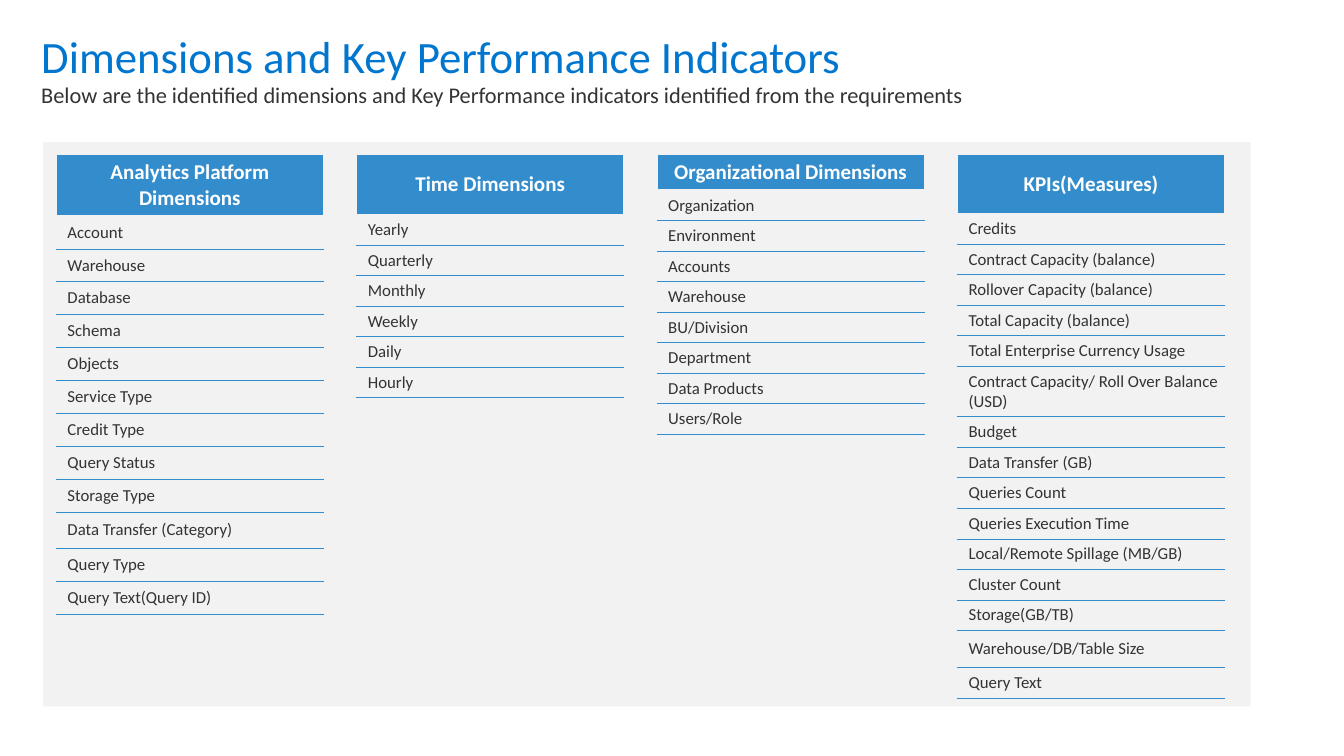
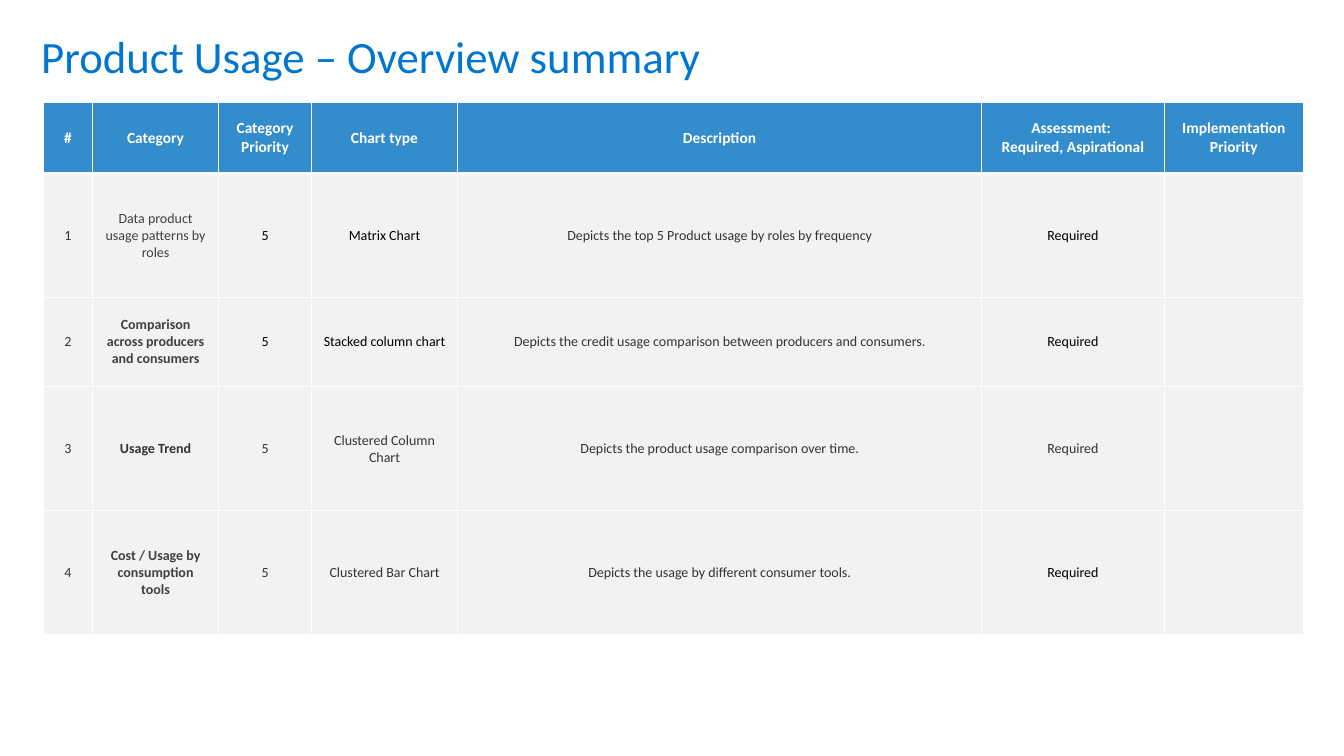
"""Build two slides on usage dimensions, indicators and overview charts."""
import dataclasses

import lxml.etree
import pptx
import pptx.dml.color
import pptx.enum.shapes
import pptx.enum.text
import pptx.oxml.ns
import pptx.util

Cm = pptx.util.Cm
Pt = pptx.util.Pt
ALIGN = pptx.enum.text.PP_ALIGN


@dataclasses.dataclass(frozen=True)
class Theme:
    font: str = "Calibri"
    title: str = "0076CF"
    accent: str = "338DCD"
    panel: str = "F2F2F2"
    white: str = "FFFFFF"
    body: str = "333333"
    category: str = "404040"
    black: str = "000000"
    title_size: int = 32
    subtitle_size: int = 16
    list_header_size: int = 15
    list_size: int = 12
    grid_header_size: int = 11
    grid_size: int = 10

    def text(self, size, color, bold=False):
        return {"name": self.font, "size": Pt(size), "bold": bold, "color": color}


THEME = Theme()
LIST_HEADER = THEME.text(THEME.list_header_size, THEME.white, True)
LIST_ITEM = THEME.text(THEME.list_size, THEME.body)
GRID_HEADER = THEME.text(THEME.grid_header_size, THEME.white, True)
BODY = THEME.text(THEME.grid_size, THEME.body)
BODY_BOLD = THEME.text(THEME.grid_size, THEME.body, True)
BLACK = THEME.text(THEME.grid_size, THEME.black)
CATEGORY = THEME.text(THEME.grid_size, THEME.category)
CATEGORY_BOLD = THEME.text(THEME.grid_size, THEME.category, True)

LIST_LEFT, LIST_TOP, LIST_WIDTH, LIST_PITCH = 1.42, 3.89, 6.73, 7.57
CELL_INSET, ITEM_INDENT = 0.13, 0.28

DIMENSION_LISTS = [
    ("Analytics Platform Dimensions", 1.55, 0.83,
     ["Account", "Warehouse", "Database", "Schema", "Objects", "Service Type",
      "Credit Type", "Query Status", "Storage Type", "Data Transfer (Category)",
      "Query Type", "Query Text(Query ID)"]),
    ("Time Dimensions", 1.52, 0.76,
     ["Yearly", "Quarterly", "Monthly", "Weekly", "Daily", "Hourly"]),
    ("Organizational Dimensions", 0.9, 0.76,
     ["Organization", "Environment", "Accounts", "Warehouse", "BU/Division",
      "Department", "Data Products", "Users/Role"]),
    ("KPIs(Measures)", 1.49, 0.76,
     ["Credits", "Contract Capacity (balance)", "Rollover Capacity (balance)",
      "Total Capacity (balance)", "Total Enterprise Currency Usage",
      "Contract Capacity/ Roll Over Balance (USD)", "Budget",
      "Data Transfer (GB)", "Queries Count", "Queries Execution Time",
      "Local/Remote Spillage (MB/GB)", "Cluster Count", "Storage(GB/TB)",
      "Warehouse/DB/Table Size", "Query Text"]),
]
TALL_ROWS = {
    "Data Transfer (Category)": 0.9,
    "Contract Capacity/ Roll Over Balance (USD)": 1.27,
    "Warehouse/DB/Table Size": 0.93,
}

USAGE_COLUMNS = [1.24, 3.18, 2.34, 3.68, 13.21, 4.6, 3.51]
USAGE_ROWS = [1.78, 3.12, 2.26, 3.12, 3.12]
USAGE_HEADERS = ["#", "Category", "Category Priority", "Chart type", "Description",
                 "Assessment: \vRequired, Aspirational", "Implementation Priority"]
USAGE_TEXT = [
    ["1", "Data product usage patterns by roles", "5", "Matrix Chart",
     "Depicts the top 5 Product usage by roles by frequency", "Required", ""],
    ["2", "Comparison across producers and consumers", "5", "Stacked column chart",
     "Depicts the credit usage comparison between producers and consumers.",
     "Required", ""],
    ["3", "Usage Trend", "5", "Clustered Column Chart",
     "Depicts the product usage comparison over time.", "Required", ""],
    ["4", "Cost / Usage by consumption tools", "5", "Clustered Bar Chart",
     "Depicts the usage by different consumer tools.", "Required", ""],
]
USAGE_FORMATS = [
    [BODY, CATEGORY, BLACK, BLACK, BODY, BLACK, BODY],
    [BODY, CATEGORY_BOLD, BLACK, BLACK, BODY, BLACK, BODY],
    [BODY, BODY_BOLD, BODY, BODY, BODY, BODY, BODY],
    [BODY, CATEGORY_BOLD, BODY, BODY, BODY, BLACK, BODY],
]


class Deck:
    def __init__(self):
        self.presentation = pptx.Presentation()
        self.presentation.slide_width = Cm(33.87)
        self.presentation.slide_height = Cm(19.05)
        self.slide = None

    def add_slide(self, title):
        self.slide = self.presentation.slides.add_slide(
            self.presentation.slide_layouts[6])
        self.text(title, (0.79, 0.61, 33.07, 1.42),
                  THEME.text(THEME.title_size, THEME.title))

    def fill_frame(self, frame, text, text_format, alignment=ALIGN.LEFT):
        paragraph = frame.paragraphs[0]
        paragraph.text = text
        paragraph.alignment = alignment
        for name, value in text_format.items():
            if name == "color":
                paragraph.font.color.rgb = pptx.dml.color.RGBColor.from_string(value)
            else:
                setattr(paragraph.font, name, value)

    def text(self, text, box, text_format):
        frame = self.slide.shapes.add_textbox(*map(Cm, box)).text_frame
        frame.word_wrap = True
        self.fill_frame(frame, text, text_format)

    def panel(self, box):
        shape = self.slide.shapes.add_shape(
            pptx.enum.shapes.MSO_SHAPE.RECTANGLE, *map(Cm, box))
        shape.shadow.inherit = False
        shape.fill.solid()
        shape.fill.fore_color.rgb = pptx.dml.color.RGBColor.from_string(THEME.panel)
        shape.line.fill.background()

    def table(self, left, top, widths, heights):
        table = self.slide.shapes.add_table(
            len(heights), len(widths), Cm(left), Cm(top),
            Cm(sum(widths)), Cm(sum(heights))).table
        table.horz_banding = False
        for column, width in zip(table.columns, widths):
            column.width = Cm(width)
        for row, height in zip(table.rows, heights):
            row.height = Cm(height)
        return table

    def cell(self, cell, text, text_format, borders, fill=None,
             alignment=ALIGN.CENTER, margins=None):
        cell.vertical_anchor = pptx.enum.text.MSO_ANCHOR.MIDDLE
        for name, value in (margins or {}).items():
            setattr(cell, name, Cm(value))
        self.fill_frame(cell.text_frame, text, text_format, alignment)
        self.borders(cell, borders)
        if fill:
            cell.fill.solid()
            cell.fill.fore_color.rgb = pptx.dml.color.RGBColor.from_string(fill)
        else:
            cell.fill.background()

    def borders(self, cell, borders):
        qn = pptx.oxml.ns.qn
        properties = cell._tc.get_or_add_tcPr()
        for side in "LRTB":
            color, width = borders[side]
            line = lxml.etree.SubElement(
                properties, qn("a:ln" + side), w=str(Pt(width)))
            solid = lxml.etree.SubElement(line, qn("a:solidFill"))
            lxml.etree.SubElement(solid, qn("a:srgbClr"), val=color)

    def dimension_list(self, left, header, header_height, row_height, items):
        heights = [header_height] + [TALL_ROWS.get(item, row_height) for item in items]
        table = self.table(left, LIST_TOP, [LIST_WIDTH], heights)
        margins = dict.fromkeys(
            ["margin_left", "margin_right", "margin_top", "margin_bottom"], CELL_INSET)
        header_borders = dict.fromkeys("LRTB", (THEME.panel, 1))
        self.cell(table.cell(0, 0), header, LIST_HEADER, header_borders,
                  THEME.accent, margins=margins)
        margins["margin_left"] = ITEM_INDENT
        rule = (THEME.accent, 0.5)
        for row, item in enumerate(items, 1):
            borders = {**header_borders, "B": rule}
            if row > 1:
                borders["T"] = rule
            self.cell(table.cell(row, 0), item, LIST_ITEM, borders,
                      alignment=ALIGN.LEFT, margins=margins)

    def usage_grid(self, left, top):
        table = self.table(left, top, USAGE_COLUMNS, USAGE_ROWS)
        borders = dict.fromkeys("LRTB", (THEME.white, 1))
        thick = (THEME.white, 3)
        for column, header in enumerate(USAGE_HEADERS):
            self.cell(table.cell(0, column), header, GRID_HEADER,
                      {**borders, "B": thick}, THEME.accent)
        for row, (texts, formats) in enumerate(zip(USAGE_TEXT, USAGE_FORMATS), 1):
            row_borders = {**borders, "T": thick} if row == 1 else borders
            for column, (text, text_format) in enumerate(zip(texts, formats)):
                self.cell(table.cell(row, column), text, text_format,
                          row_borders, THEME.panel)


def main():
    deck = Deck()
    deck.add_slide("Dimensions and Key Performance Indicators")
    deck.panel((1.09, 3.58, 30.43, 14.22))
    deck.text("Below are the identified dimensions and Key Performance indicators "
              "identified from the requirements", (0.79, 1.93, 29.13, 0.94),
              THEME.text(THEME.subtitle_size, THEME.body))
    for index, dimension_list in enumerate(DIMENSION_LISTS):
        deck.dimension_list(LIST_LEFT + index * LIST_PITCH, *dimension_list)

    deck.add_slide("Product Usage – Overview summary")
    deck.usage_grid(1.09, 2.59)
    deck.presentation.save("out.pptx")


if __name__ == "__main__":
    main()
